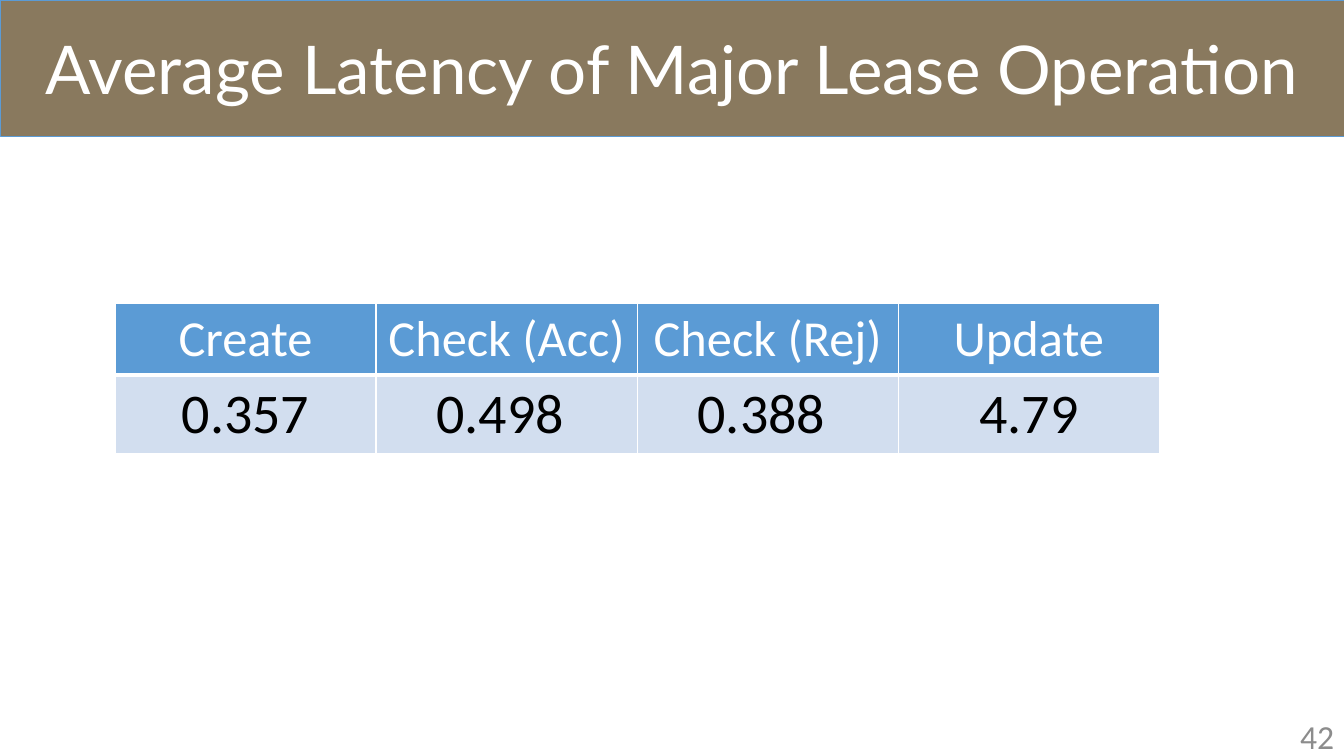
from lxml.etree import SubElement
from pptx import Presentation
from pptx.dml.color import RGBColor
from pptx.enum.text import MSO_ANCHOR, MSO_AUTO_SIZE, PP_ALIGN
from pptx.oxml.ns import qn
from pptx.util import Inches, Pt

TITLE = "Average Latency of Major Lease Operation"
PAGE_NUMBER = "42"
LATENCIES = [
    ("Create", "Check (Acc) ", "Check (Rej)", "Update"),
    ("0.357", "0.498 ", "0.388 ", "4.79"),
]
COLORS = {
    "banner": "89795E",
    "blue": "5B9BD5",
    "pale": "D2DEEF",
    "white": "FFFFFF",
    "black": "000000",
    "gray": "8C8C8C",
}
# Height, font size, fill, text colour and bottom border of each table row
ROW_STYLES = [
    (0.7, 36, "blue", "white", 3),
    (0.77, 40, "pale", "black", 1),
]
COLUMN_WIDTH = 2.59


def color(name):
    return RGBColor.from_string(COLORS[name])


def format_text(frame, font_name, size, color_name, align):
    para = frame.paragraphs[0]
    para.alignment = align
    font = para.runs[0].font
    font.name, font.size = font_name, Pt(size)
    font.color.rgb = color(color_name)


def add_borders(cell, bottom_width):
    properties = cell._tc.get_or_add_tcPr()
    widths = {"a:lnL": 1, "a:lnR": 1, "a:lnT": 1, "a:lnB": bottom_width}
    for position, (tag, width) in enumerate(widths.items()):
        line = SubElement(properties, qn(tag), w=str(Pt(width)))
        fill = SubElement(line, qn("a:solidFill"))
        SubElement(fill, qn("a:srgbClr"), val=COLORS["white"])
        properties.insert(position, line)


deck = Presentation()
deck.slide_width, deck.slide_height = Inches(13.33), Inches(7.5)
page = deck.slides.add_slide(deck.slide_layouts[5])

# Title banner
title = page.shapes.title
title.left, title.top = Inches(0), Inches(0)
title.width, title.height = deck.slide_width, Inches(1.35)
title.fill.solid()
title.fill.fore_color.rgb = color("banner")
title.line.color.rgb = color("blue")
title.line.width = Pt(0.5)
title.text_frame.text = TITLE
title.text_frame.word_wrap = True
title.text_frame.auto_size = MSO_AUTO_SIZE.NONE
title.text_frame.vertical_anchor = MSO_ANCHOR.MIDDLE
format_text(title.text_frame, "Lato", 48, "white", PP_ALIGN.CENTER)

# Latency table
columns = len(LATENCIES[0])
table = page.shapes.add_table(
    len(LATENCIES), columns, Inches(1.14), Inches(3.01),
    Inches(COLUMN_WIDTH * columns), Inches(sum(style[0] for style in ROW_STYLES)),
).table
for column in table.columns:
    column.width = Inches(COLUMN_WIDTH)
for row, texts, style in zip(table.rows, LATENCIES, ROW_STYLES):
    height, size, fill_name, text_name, bottom_width = style
    row.height = Inches(height)
    for cell, text in zip(row.cells, texts):
        cell.text_frame.text = text
        format_text(cell.text_frame, "Calibri", size, text_name, PP_ALIGN.CENTER)
        cell.text_frame.paragraphs[0].runs[0].font.bold = False
        cell.fill.solid()
        cell.fill.fore_color.rgb = color(fill_name)
        add_borders(cell, bottom_width)

# Page number
number = page.shapes.add_textbox(Inches(10.33), Inches(7.1), Inches(3), Inches(0.4))
number.text_frame.text = PAGE_NUMBER
number.text_frame.word_wrap = True
number.text_frame.vertical_anchor = MSO_ANCHOR.MIDDLE
format_text(number.text_frame, "Calibri", 24, "gray", PP_ALIGN.RIGHT)

deck.save("out.pptx")
